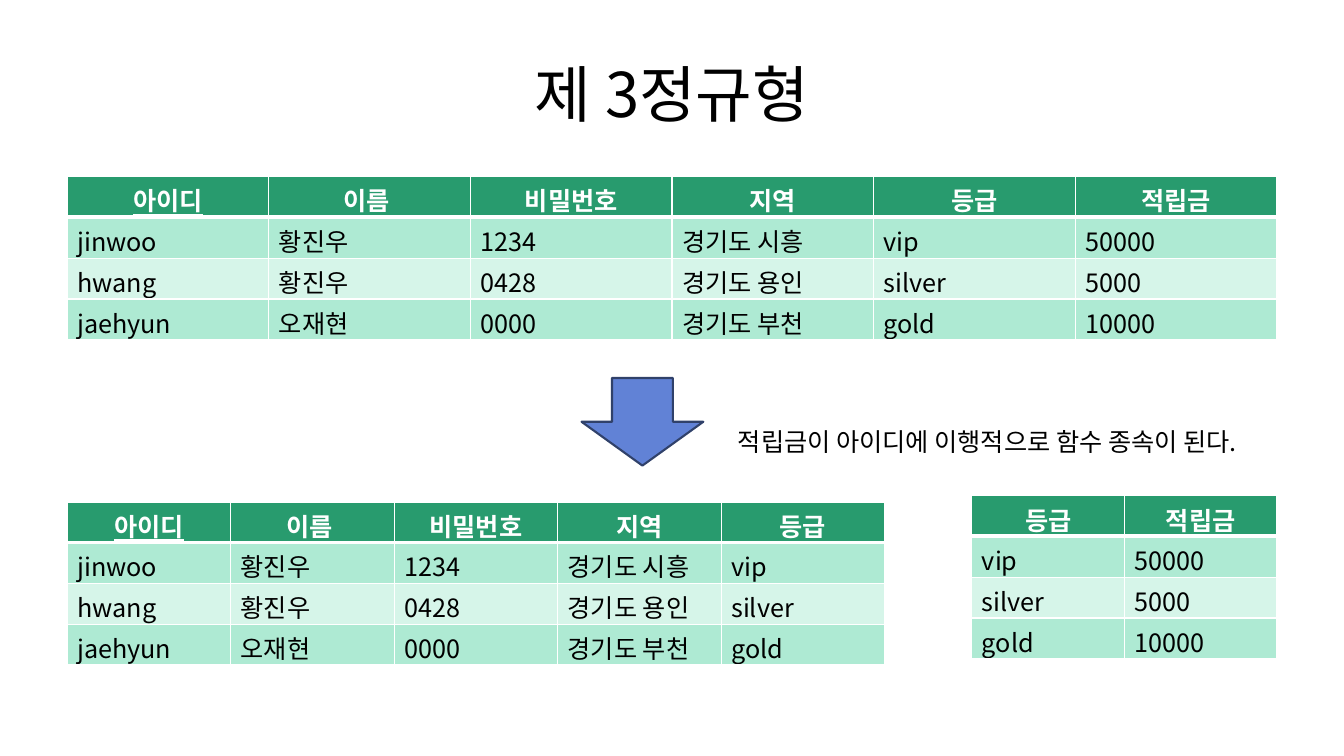
from lxml.etree import SubElement
from pptx import Presentation
from pptx.dml.color import RGBColor
from pptx.enum.shapes import MSO_SHAPE
from pptx.enum.text import MSO_ANCHOR, MSO_AUTO_SIZE, PP_ALIGN
from pptx.oxml.ns import qn
from pptx.util import Pt

FONT = "Noto Sans CJK KR"
COLORS = {
    "head": "289B6E", "odd": "AEEAD3", "even": "D6F5E9", "white": "FFFFFF",
    "black": "000000", "arrow": "6182D6", "edge": "30416A",
}
TITLE = "제 3정규형"
NOTE = "적립금이 아이디에 이행적으로 함수 종속이 된다."
MEMBERS = [
    ("아이디", "이름 ", "비밀번호", "지역", "등급", "적립금"),
    ("jinwoo", "황진우", "1234", "경기도 시흥", "vip", "50000"),
    ("hwang", "황진우", "0428", "경기도 용인", "silver", "5000"),
    ("jaehyun", "오재현", "0000", "경기도 부천", "gold", "10000"),
]
KEY = "아이디"
ROW = 29.2
TABLES = [
    {"cols": slice(0, 6), "at": (48, 126, 864), "top": ROW},
    {"cols": slice(0, 5), "at": (48, 358.6, 584), "top": 14.4},
    {"cols": slice(4, 6), "at": (694.2, 354.2, 218), "top": 18.7},
]


def rgb(name):
    """Return a named colour."""
    return RGBColor.from_string(COLORS[name])


def write(para, text, size=18, color="black", bold=False, line=False):
    """Add one styled run to a paragraph."""
    run = para.add_run()
    run.text = text
    font = run.font
    font.name, font.size = FONT, Pt(size)
    font.bold, font.underline = bold, line
    font.color.rgb = rgb(color)
    east = SubElement(font._element, qn("a:ea"))
    east.set("typeface", FONT)


def add_text(slide, text, spot, size):
    """Add a wrapped text box and return its frame."""
    frame = slide.shapes.add_textbox(*map(Pt, spot)).text_frame
    frame.word_wrap = True
    write(frame.paragraphs[0], text, size)
    return frame


def add_edges(cell, base):
    """Draw white borders around a cell."""
    props = cell._tc.get_or_add_tcPr()
    for side, width in zip("LRTB", (1, 1, 1, base)):
        edge = SubElement(props, qn(f"a:ln{side}"), w=str(Pt(width)))
        fill = SubElement(edge, qn("a:solidFill"))
        SubElement(fill, qn("a:srgbClr"), val=COLORS["white"])


def fill_cell(cell, text, row):
    """Style and fill one table cell."""
    head = row == 0
    add_edges(cell, 3 if head else 1)
    cell.fill.solid()
    cell.fill.fore_color.rgb = rgb("head" if head else "odd" if row % 2 else "even")
    para = cell.text_frame.paragraphs[0]
    if head:
        para.alignment = PP_ALIGN.CENTER
    write(para, text, 18, "white" if head else "black", head, text == KEY)


def add_grid(slide, cols, at, top):
    """Add a table of the chosen member columns."""
    data = [row[cols] for row in MEMBERS]
    left, high, width = at
    tall = Pt(ROW * len(data))
    count = len(data[0])
    shape = slide.shapes.add_table(len(data), count, Pt(left), Pt(high), Pt(width), tall)
    table = shape.table
    for col in table.columns:
        col.width = Pt(width / count)
    for num, row in enumerate(data):
        table.rows[num].height = Pt(ROW if num else top)
        for col, text in enumerate(row):
            fill_cell(table.cell(num, col), text, num)
    shape.height = tall


def main():
    """Build and save the slide."""
    deck = Presentation()
    deck.slide_width, deck.slide_height = Pt(960), Pt(540)
    slide = deck.slides.add_slide(deck.slide_layouts[6])

    title = add_text(slide, TITLE, (48, 21.6, 864, 90), 44)
    title.vertical_anchor = MSO_ANCHOR.MIDDLE
    title.paragraphs[0].alignment = PP_ALIGN.CENTER

    note = add_text(slide, NOTE, (520, 301, 391.7, 29), 18)
    note.auto_size = MSO_AUTO_SIZE.SHAPE_TO_FIT_TEXT

    for grid in TABLES:
        add_grid(slide, **grid)

    arrow = slide.shapes.add_shape(
        MSO_SHAPE.DOWN_ARROW, Pt(415.4), Pt(270), Pt(87), Pt(62.6))
    arrow.shadow.inherit = False
    arrow.fill.solid()
    arrow.fill.fore_color.rgb = rgb("arrow")
    arrow.line.color.rgb = rgb("edge")
    arrow.line.width = Pt(1.5)

    deck.save("out.pptx")


if __name__ == "__main__":
    main()
